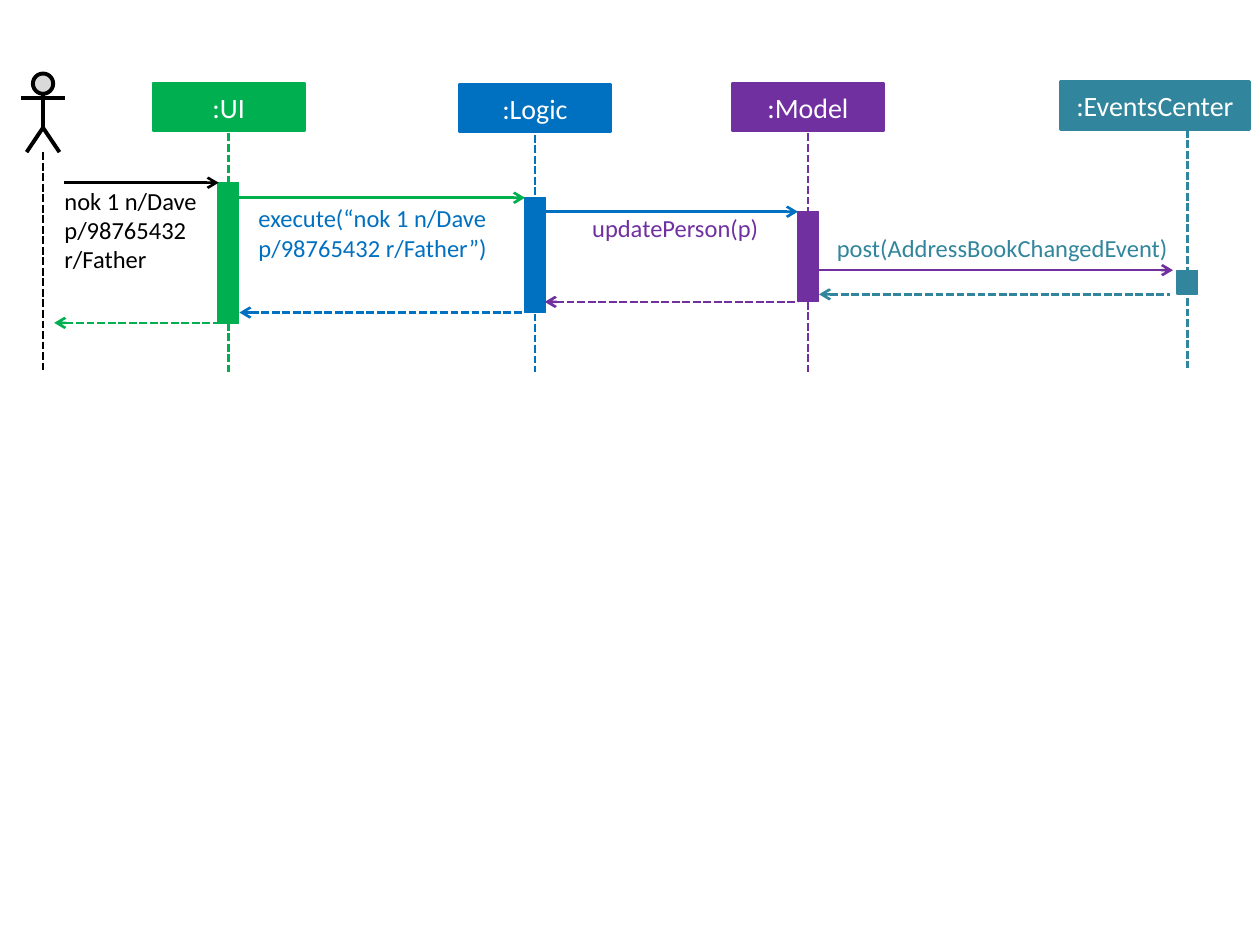
"""Build a sequence diagram of a command passing from the user through four components."""
from lxml import etree
from pptx import Presentation
from pptx import util as u
from pptx.dml.color import RGBColor
from pptx.enum import dml, shapes, text
from pptx.oxml.ns import qn

Pt = u.Pt
COLORS = {"black": "000000", "white": "FFFFFF", "grey": "D9D9D9", "ui": "00B050",
          "logic": "0070C0", "model": "7030A0", "events": "31859C"}
FONT = "Calibri"
HEADER_HEIGHT, BAR_WIDTH = 27.4, 11.8

# name, colour, header left, header top, header width, lifeline x, lifeline top and bottom, bar top and bottom
PARTICIPANTS = [
    (":UI", "ui", 87.5, 47.5, 86.4, 130.5, 76.3, 212.4, 104.4, 184.9),
    (":Logic", "logic", 262.5, 48, 86.4, 305.7, 77, 212.7, 113, 178.6),
    (":Model", "model", 418.5, 47.5, 86.4, 461.7, 76.3, 212.4, 121, 172.1),
    (":EventsCenter", "events", 606, 46.5, 108, 678.5, 74.2, 210.2, 154.4, 168.1),
]
# colour, left end, right end, y
CALLS = [
    ("black", 36.7, 125, 104.4),
    ("ui", 136.8, 300, 113),
    ("logic", 311.3, 456, 121),
    ("model", 468, 670.3, 154.4),
]
RETURNS = [
    ("events", 468, 668.6, 168.2),
    ("model", 311.3, 456, 172.5),
    ("logic", 136.8, 299, 178.6),
    ("ui", 31, 125, 184.5),
]
LABELS = [
    ("nok 1 n/Dave p/98765432 r/Father", "black", 36.8, 106.1, 85, 50.9),
    ("execute(“nok 1 n/Dave p/98765432 r/Father”)", "logic", 147.7, 116.2, 140.4, 33.9),
    ("updatePerson(p)", "model", 338.4, 122, 112.3, 17),
    ("post(AddressBookChangedEvent)", "events", 478.2, 133.4, 192.2, 17),
]
ACTOR_X, ACTOR_HEAD, ACTOR_TOP = 24.6, 11.6, 42
ACTOR_ARMS_Y, ACTOR_HIP_Y, ACTOR_FOOT_Y = 56.1, 73, 87
ACTOR_ARM, ACTOR_LEG = 12.8, 9.4


def rgb(name):
    return RGBColor.from_string(COLORS[name])


def set_values(target, values):
    for name, value in values.items():
        setattr(target, name, value)


def outline(shape, color, width):
    shape.line.color.rgb = rgb(color)
    shape.line.width = Pt(width)


def add_box(parent, kind, left, top, width, height, fill, line, weight):
    shape = parent.add_shape(kind, Pt(left), Pt(top), Pt(width), Pt(height))
    shape.shadow.inherit = False
    shape.fill.solid()
    shape.fill.fore_color.rgb = rgb(fill)
    outline(shape, line, weight)
    return shape


def add_line(parent, color, start, end, weight=1.5, dashed=False, arrow=None):
    line = parent.add_connector(shapes.MSO_CONNECTOR.STRAIGHT, *map(Pt, start + end))
    outline(line, color, weight)
    if dashed:
        line.line.dash_style = dml.MSO_LINE.SQUARE_DOT
    properties = line._element.spPr
    if arrow:
        etree.SubElement(properties.find(qn("a:ln")), qn(arrow), type="arrow")
    etree.SubElement(properties, qn("a:effectLst"))


def write(shape, words, color, size, frame_values, alignment):
    set_values(shape.text_frame, frame_values)
    paragraph = shape.text_frame.paragraphs[0]
    paragraph.alignment = alignment
    run = paragraph.add_run()
    run.text = words
    set_values(run.font, {"name": FONT, "size": Pt(size)})
    run.font.color.rgb = rgb(color)


def add_participant(parent, name, color, left, top, width, x, line_top, line_bottom, bar_top, bar_bottom):
    rectangle = shapes.MSO_SHAPE.RECTANGLE
    header = add_box(parent, rectangle, left, top, width, HEADER_HEIGHT, color, color, 1.5)
    write(header, name, "white", 16, {"vertical_anchor": text.MSO_ANCHOR.MIDDLE, "word_wrap": True},
          text.PP_ALIGN.CENTER)
    add_line(parent, color, (x, line_top), (x, line_bottom), dashed=True)
    add_box(parent, rectangle, x - BAR_WIDTH / 2, bar_top, BAR_WIDTH, bar_bottom - bar_top, color, color, 0.75)


def add_actor(parent):
    figure = parent.add_group_shape().shapes
    add_box(figure, shapes.MSO_SHAPE.FLOWCHART_CONNECTOR, ACTOR_X - ACTOR_HEAD / 2, ACTOR_TOP,
            ACTOR_HEAD, ACTOR_HEAD, "grey", "black", 2.25)
    add_line(figure, "black", (ACTOR_X, ACTOR_TOP + ACTOR_HEAD), (ACTOR_X, ACTOR_HIP_Y), 2.25)
    add_line(figure, "black", (ACTOR_X - ACTOR_ARM, ACTOR_ARMS_Y), (ACTOR_X + ACTOR_ARM, ACTOR_ARMS_Y), 2.25)
    builder = figure.build_freeform(Pt(ACTOR_X - ACTOR_LEG), Pt(ACTOR_FOOT_Y))
    builder.add_line_segments([(Pt(ACTOR_X), Pt(ACTOR_HIP_Y)),
                               (Pt(ACTOR_X + ACTOR_LEG), Pt(ACTOR_FOOT_Y))], close=False)
    legs = builder.convert_to_shape()
    legs.shadow.inherit = False
    legs.fill.background()
    outline(legs, "black", 2.25)
    add_line(parent, "black", (ACTOR_X, ACTOR_FOOT_Y), (ACTOR_X, 212.4), dashed=True)


def add_label(parent, words, color, left, top, width, height):
    box = parent.add_textbox(Pt(left), Pt(top), Pt(width), Pt(height))
    margins = {f"margin_{side}": 0 for side in ("left", "top", "right", "bottom")}
    write(box, words, color, 14,
          {**margins, "word_wrap": True, "auto_size": text.MSO_AUTO_SIZE.SHAPE_TO_FIT_TEXT},
          text.PP_ALIGN.LEFT)


presentation = Presentation()
set_values(presentation, {"slide_width": Pt(720), "slide_height": Pt(540)})
slide = presentation.slides.add_slide(presentation.slide_layouts[6])
canvas = slide.shapes

add_actor(canvas)
for participant in PARTICIPANTS:
    add_participant(canvas, *participant)
for messages, dashed, arrow in ((CALLS, False, "a:tailEnd"), (RETURNS, True, "a:headEnd")):
    for color, left, right, y in messages:
        add_line(canvas, color, (left, y), (right, y), dashed=dashed, arrow=arrow)
for label in LABELS:
    add_label(canvas, *label)

presentation.save("out.pptx")
